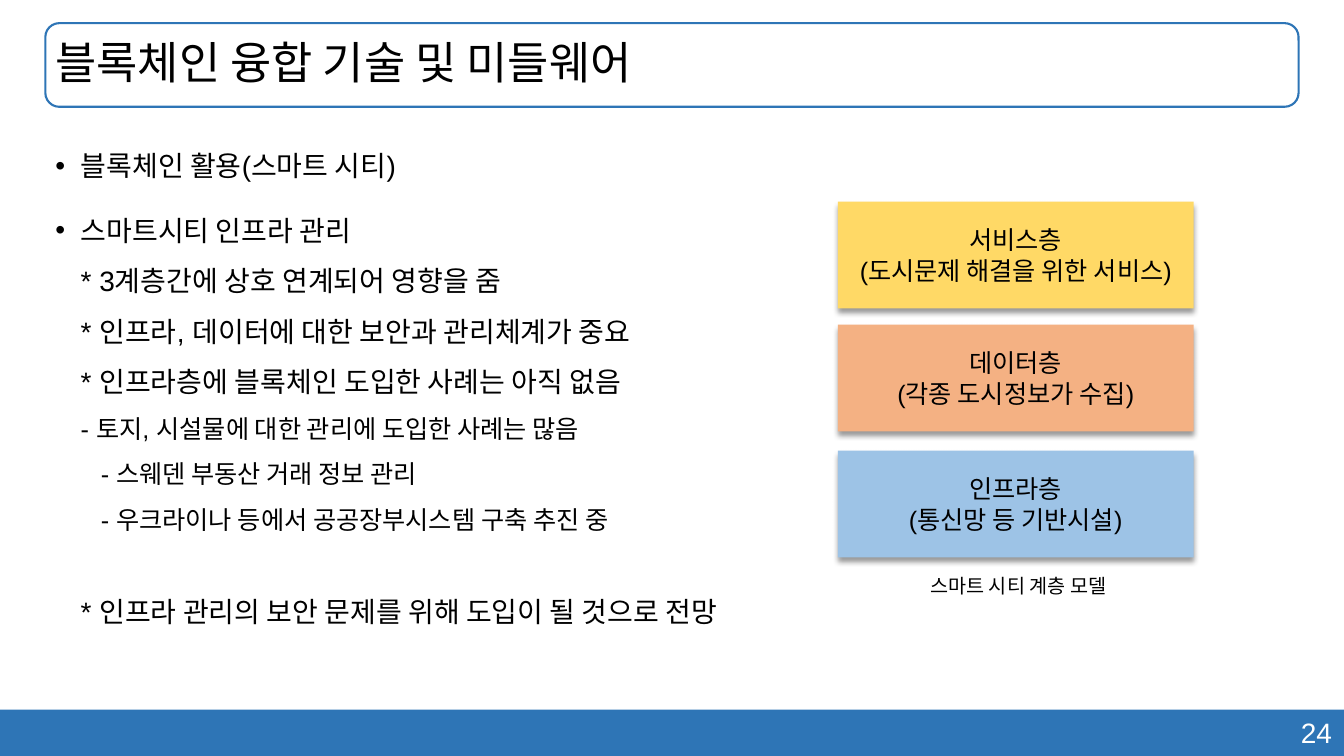
import pptx
import pptx.util
import pptx.dml.color
import pptx.enum.shapes
import pptx.enum.text
import pptx.oxml
import pptx.oxml.ns

Inches = pptx.util.Inches
Pt = pptx.util.Pt
MSO_SHAPE = pptx.enum.shapes.MSO_SHAPE
PP_ALIGN = pptx.enum.text.PP_ALIGN
MIDDLE = pptx.enum.text.MSO_ANCHOR.MIDDLE
NO_AUTOFIT = pptx.enum.text.MSO_AUTO_SIZE.NONE
DRAWING_NAMESPACE = pptx.oxml.ns.nsdecls("a")
BLUE = "2E75B6"


def color(hex_string):
    return pptx.dml.color.RGBColor.from_string(hex_string)


def write(paragraph, text, size, text_color="000000", **paragraph_format):
    """Fill a paragraph with Arial text and apply its paragraph settings."""
    paragraph.text = text
    for name, value in paragraph_format.items():
        setattr(paragraph, name, value)
    for run in paragraph.runs:
        for name, value in {"name": "Arial", "size": Pt(size), "bold": False}.items():
            setattr(run.font, name, value)
        run.font.color.rgb = color(text_color)


presentation = pptx.Presentation()
presentation.slide_width = Inches(13.33)
presentation.slide_height = Inches(7.5)
slide = presentation.slides.add_slide(presentation.slide_layouts[1])

# Footer bar with page number
footer = slide.shapes.add_shape(
    MSO_SHAPE.RECTANGLE, Inches(0), Inches(7.04), Inches(13.33), Inches(0.46))
footer.shadow.inherit = False
footer.fill.solid()
footer.fill.fore_color.rgb = color(BLUE)
footer.line.fill.background()

page_number = slide.shapes.add_textbox(
    Inches(9.41), Inches(7.05), Inches(3.9), Inches(0.44))
page_number.text_frame.word_wrap = True
write(page_number.text_frame.paragraphs[0], "24", 20, "FFFFFF", alignment=PP_ALIGN.RIGHT)

# Title in a rounded frame
title_area = Inches(0.45), Inches(0.23), Inches(12.43), Inches(0.83)
title_frame = slide.shapes.add_shape(MSO_SHAPE.ROUNDED_RECTANGLE, *title_area)
title_frame.shadow.inherit = False
title_frame.fill.background()
title_frame.line.color.rgb = color(BLUE)
title_frame.line.width = Pt(1.5)

title = slide.shapes.title
title.left, title.top, title.width, title.height = title_area
title.text_frame.auto_size = NO_AUTOFIT
title.text_frame.vertical_anchor = MIDDLE
write(title.text_frame.paragraphs[0], "블록체인 융합 기술 및 미들웨어", 32,
      alignment=PP_ALIGN.LEFT, line_spacing=0.9)

# Body list: text, size, left margin, space before, bulleted
body_lines = [
    ("블록체인 활용(스마트 시티)", 20, 0.25, 0, True),
    ("스마트시티 인프라 관리", 20, 0.25, 10, True),
    ("* 3계층간에 상호 연계되어 영향을 줌", 20, 0.25, 0, False),
    ("* 인프라, 데이터에 대한 보안과 관리체계가 중요", 20, 0.25, 0, False),
    ("* 인프라층에 블록체인 도입한 사례는 아직 없음", 20, 0.25, 0, False),
    ("- 토지, 시설물에 대한 관리에 도입한 사례는 많음", 18, 0.25, 0, False),
    ("- 스웨덴 부동산 거래 정보 관리", 18, 0.45, 0, False),
    ("- 우크라이나 등에서 공공장부시스템 구축 추진 중", 18, 0.45, 0, False),
    ("* 인프라 관리의 보안 문제를 위해 도입이 될 것으로 전망", 20, 0.25, 31, False),
]
body = slide.placeholders[1]
body.left, body.top, body.width, body.height = (
    Inches(0.45), Inches(1.26), Inches(12.43), Inches(5.53))
body.text_frame.auto_size = NO_AUTOFIT
for index, (text, size, margin, space_before, bulleted) in enumerate(body_lines):
    paragraph = (body.text_frame.add_paragraph() if index
                 else body.text_frame.paragraphs[0])
    properties = paragraph._p.get_or_add_pPr()
    properties.set("marL", str(Inches(margin)))
    properties.set("indent", str(Inches(-0.25 if bulleted else 0)))
    bullet = 'buChar char="•"' if bulleted else "buNone"
    properties.append(pptx.oxml.parse_xml(f"<a:{bullet.replace(' ', f' {DRAWING_NAMESPACE} ', 1)}/>"
                                          if bulleted else f"<a:{bullet} {DRAWING_NAMESPACE}/>"))
    write(paragraph, text, size, line_spacing=1.5,
          space_before=Pt(space_before), space_after=Pt(0))

# Smart city layer model
layers = [
    ("서비스층\v(도시문제 해결을 위한 서비스)", "FFD966", 2),
    ("데이터층\v(각종 도시정보가 수집)", "F4B183", 3.22),
    ("인프라층\v(통신망 등 기반시설)", "9DC3E6", 4.47),
]
shadow_xml = (
    f'<a:effectLst {DRAWING_NAMESPACE}>'
    f'<a:outerShdw blurRad="{Pt(4)}" dist="{Pt(3)}" dir="5400000" rotWithShape="0">'
    '<a:srgbClr val="000000"><a:alpha val="40000"/></a:srgbClr>'
    '</a:outerShdw></a:effectLst>')
layer_model = slide.shapes.add_group_shape()
for text, fill, top in layers:
    layer = layer_model.shapes.add_shape(
        MSO_SHAPE.RECTANGLE, Inches(8.31), Inches(top), Inches(3.53), Inches(1.06))
    layer.fill.solid()
    layer.fill.fore_color.rgb = color(fill)
    layer.line.fill.background()
    layer._element.spPr.append(pptx.oxml.parse_xml(shadow_xml))
    layer.text_frame.vertical_anchor = MIDDLE
    write(layer.text_frame.paragraphs[0], text, 18, alignment=PP_ALIGN.CENTER)

caption = layer_model.shapes.add_textbox(
    Inches(9.13), Inches(5.64), Inches(2.13), Inches(0.34))
caption.text_frame.word_wrap = False
write(caption.text_frame.paragraphs[0], "스마트 시티 계층 모델", 14)

presentation.save("out.pptx")
